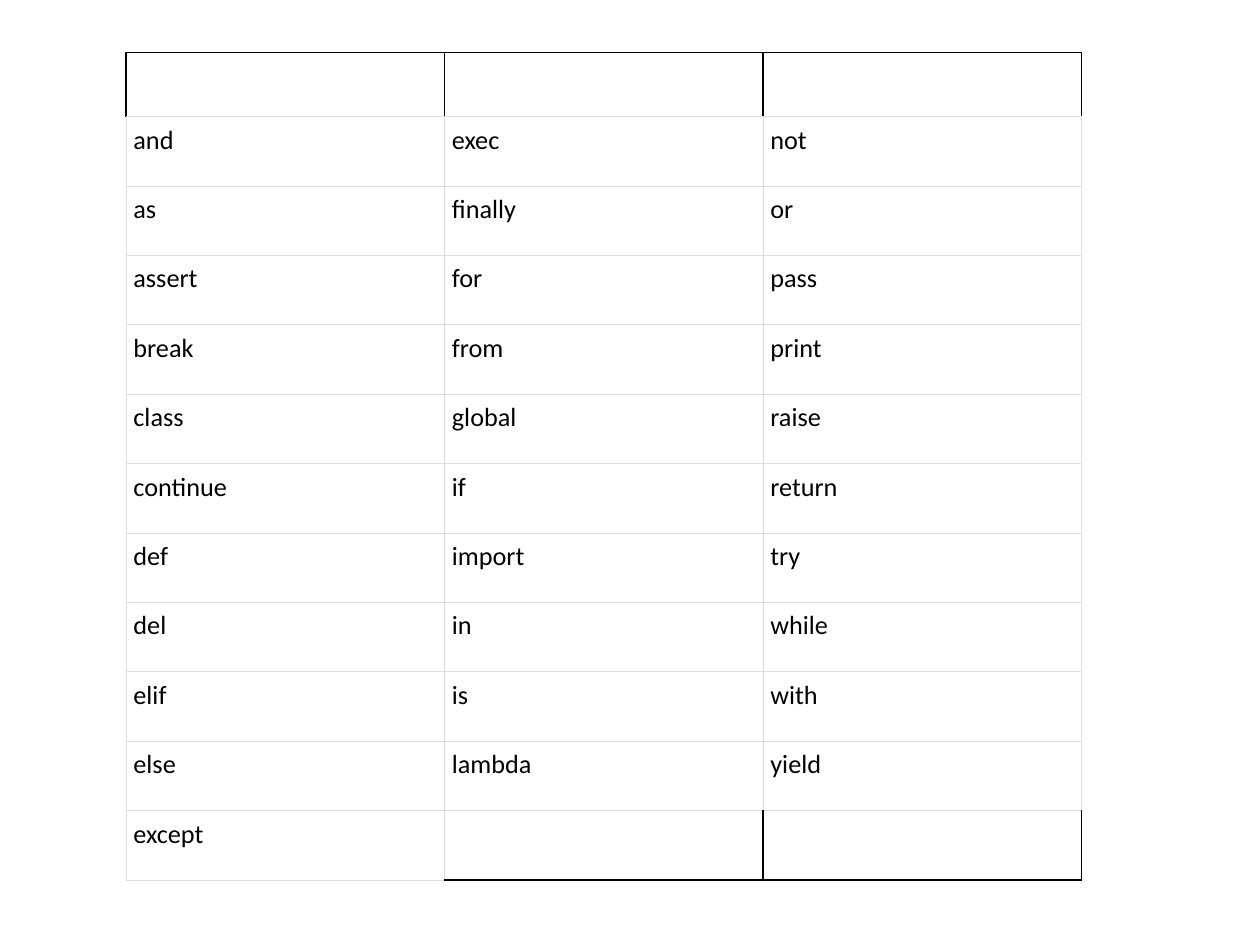
"""Build a slide with a three-column table of Python keywords."""
from lxml import etree
from pptx import Presentation
from pptx import util as u
from pptx.dml.color import RGBColor
from pptx.oxml.ns import qn


def colour(value):
    return RGBColor.from_string(value)


def add_border(cell, side, value, width):
    line = etree.SubElement(cell._tc.get_or_add_tcPr(), qn(f"a:ln{side}"), w=str(u.Pt(width)))
    fill = etree.SubElement(line, qn("a:solidFill"))
    etree.SubElement(fill, qn("a:srgbClr"), val=str(colour(value)))


keyword_columns = [
    "and as assert break class continue def del elif else except".split(),
    "exec finally for from global if import in is lambda".split(),
    "not or pass print raise return try while with yield".split(),
]
words = {
    (row, column): word
    for column, keywords in enumerate(keyword_columns)
    for row, word in enumerate(keywords, start=1)
}
row_count, column_count = 12, 3
neighbours = {"L": (0, -1), "R": (0, 1), "T": (-1, 0), "B": (1, 0)}

deck = Presentation()
deck.slide_width, deck.slide_height = u.Cm(25.4), u.Cm(19.05)
page = deck.slides.add_slide(deck.slide_layouts[6])
page.background.fill.solid()
page.background.fill.fore_color.rgb = colour("FFFFFF")

frame = page.shapes.add_table(
    row_count, column_count, u.Cm(2.54), u.Cm(1.06), u.Cm(19.26), u.Cm(16.7)
)
table = frame.table
table.first_row = table.horz_banding = False
for column in table.columns:
    column.width = u.Cm(6.42)
for row in table.rows:
    row.height = u.Cm(1.4)
table.rows[0].height = u.Cm(1.29)

for row in range(row_count):
    for column in range(column_count):
        cell = table.cell(row, column)
        for side, (down, across) in neighbours.items():
            touches_word = (row, column) in words or (row + down, column + across) in words
            value, width = ("DDDDDD", 0.6) if touches_word else ("000000", 1)
            add_border(cell, side, value, width)
        cell.fill.background()
        if (row, column) in words:
            cell.margin_left = cell.margin_right = u.Cm(0.15)
            cell.margin_top = cell.margin_bottom = u.Cm(0.15)
            para = cell.text_frame.paragraphs[0]
            span = para.add_run()
            span.text = words[row, column]
            span.font.name = "Calibri"
            span.font.size = u.Pt(15)
            span.font.color.rgb = colour("000000")

deck.save("out.pptx")
